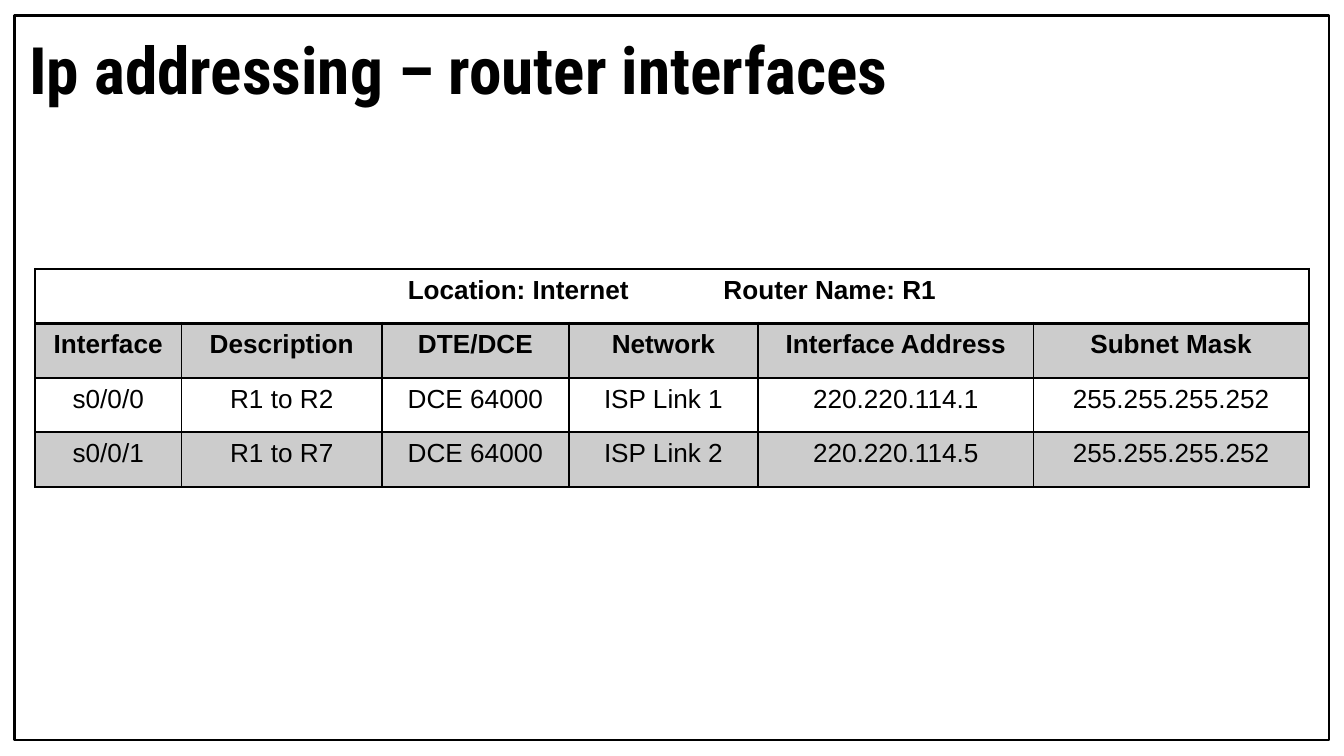
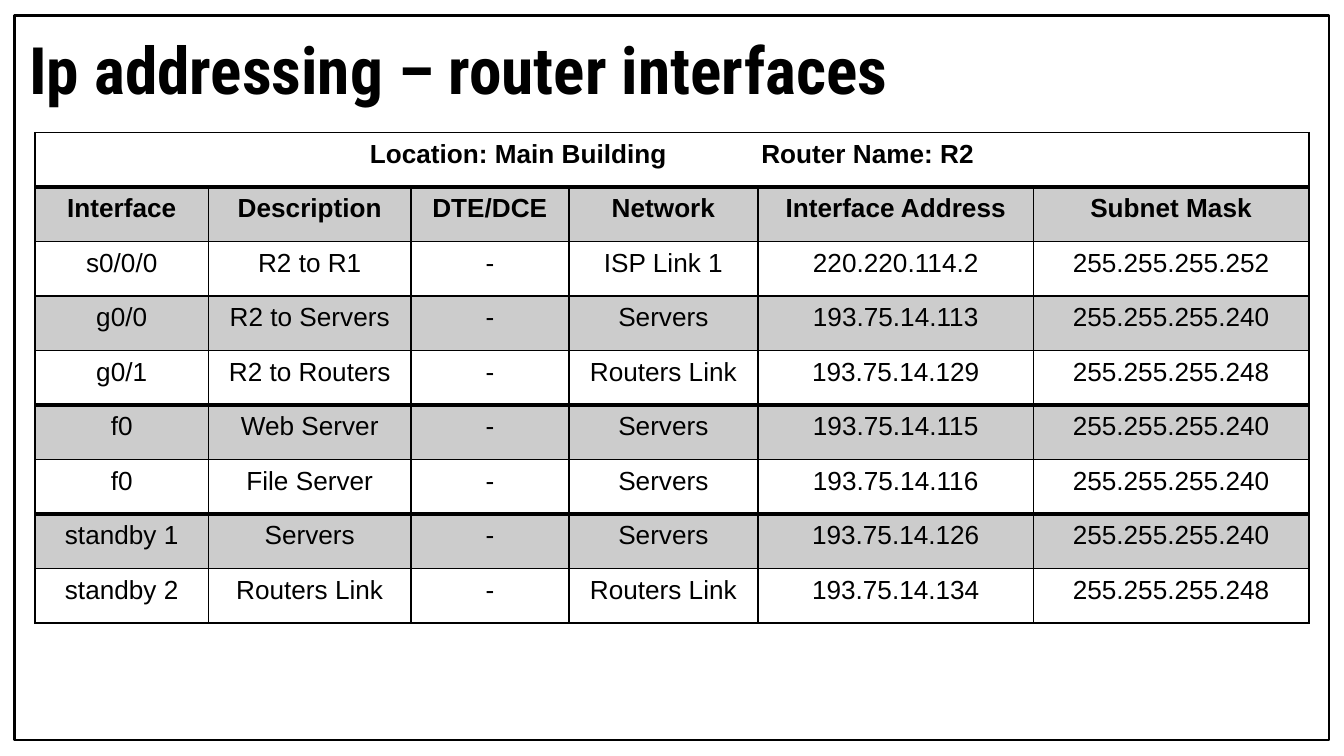
from dataclasses import dataclass

from lxml.etree import SubElement
from pptx import Presentation
from pptx.dml.color import RGBColor
from pptx.enum.shapes import MSO_SHAPE as Shape
from pptx.enum.text import MSO_ANCHOR as Anchor, MSO_AUTO_SIZE as AutoSize, PP_ALIGN as Align
from pptx.oxml import parse_xml
from pptx.oxml.ns import nsdecls, qn
from pptx.util import Pt


@dataclass(frozen=True)
class Theme:
    ink: RGBColor = RGBColor(0, 0, 0)
    band_alpha: int = 20
    title_font: str = "Roboto Condensed"
    title_size: int = 35
    table_font: str = "Arial"
    table_size: int = 14
    frame_line: float = 1.5
    cell_line: float = 1
    caption_line: float = 2
    heavy_line: float = 2.25
    caption_gap: float = 46.7


THEME = Theme()
TITLE = "Ip addressing – router interfaces"
HEADINGS = ["Interface", "Description", "DTE/DCE", "Network", "Interface Address", "Subnet Mask"]
TABLE_LEFT, ROW_HEIGHT = 18.75, 29.2

# heavy_rows are the rows ruled off from the next one by a heavy line
ROUTERS = [
    {
        "caption": ("Location: Internet", "Router Name: R1"),
        "top": 144,
        "widths": [78.5, 107.5, 100, 101.5, 147.5, 147.5],
        "heavy_rows": [],
        "interfaces": [
            ["s0/0/0", "R1 to R2", "DCE 64000", "ISP Link 1", "220.220.114.1", "255.255.255.252"],
            ["s0/0/1", "R1 to R7", "DCE 64000", "ISP Link 2", "220.220.114.5", "255.255.255.252"],
        ],
    },
    {
        "caption": ("Location: Main Building", "Router Name: R2"),
        "top": 71,
        "widths": [93, 108.5, 84.5, 101.5, 147.5, 147.5],
        "heavy_rows": [4, 6],
        "interfaces": [
            ["s0/0/0", "R2 to R1", "-", "ISP Link 1", "220.220.114.2", "255.255.255.252"],
            ["g0/0", "R2 to Servers", "-", "Servers", "193.75.14.113", "255.255.255.240"],
            ["g0/1", "R2 to Routers", "-", "Routers Link", "193.75.14.129", "255.255.255.248"],
            ["f0", "Web Server", "-", "Servers", "193.75.14.115", "255.255.255.240"],
            ["f0", "File Server", "-", "Servers", "193.75.14.116", "255.255.255.240"],
            ["standby 1", "Servers", "-", "Servers", "193.75.14.126", "255.255.255.240"],
            ["standby 2", "Routers Link", "-", "Routers Link", "193.75.14.134", "255.255.255.248"],
        ],
    },
]


def set_borders(cell, top, bottom):
    """Rule all four sides; only the top and bottom widths vary."""
    sides = {"lnL": THEME.cell_line, "lnR": THEME.cell_line, "lnT": top, "lnB": bottom}
    properties = cell._tc.get_or_add_tcPr()
    for position, (side, width) in enumerate(sides.items()):
        properties.insert(position, parse_xml(
            f'<a:{side} {nsdecls("a")} w="{Pt(width)}"><a:solidFill>'
            f'<a:srgbClr val="{THEME.ink}"/></a:solidFill></a:{side}>'))


def fill_cell(cell, shaded):
    if not shaded:
        cell.fill.background()
        return
    cell.fill.solid()
    cell.fill.fore_color.rgb = THEME.ink
    color = cell._tc.tcPr.find(qn("a:solidFill")).find(qn("a:srgbClr"))
    SubElement(color, qn("a:alpha"), val=str(THEME.band_alpha * 1000))


deck = Presentation()
deck.slide_width, deck.slide_height = Pt(720), Pt(405)
layout = deck.slide_layouts.get_by_name("Title Only")
pages = [deck.slides.add_slide(layout) for router in ROUTERS]

# The frame belongs to the layout, so every page shows it
frame = pages[0].shapes.add_shape(Shape.RECTANGLE, Pt(8), Pt(8.5), Pt(704), Pt(388))
frame.shadow.inherit = False
frame.fill.background()
frame.line.color.rgb = THEME.ink
frame.line.width = Pt(THEME.frame_line)
layout.shapes.element.insert(2, frame.element)

for page, router in zip(pages, ROUTERS):
    title = page.shapes.title
    title.left, title.top, title.width, title.height = Pt(8.5), Pt(8.5), Pt(703), Pt(50)
    box = title.text_frame
    box.text = TITLE
    box.auto_size = AutoSize.NONE
    box.vertical_anchor = Anchor.TOP
    box.margin_left = box.margin_right = box.margin_top = box.margin_bottom = Pt(7.2)
    para = box.paragraphs[0]
    para.alignment = Align.LEFT
    para.font.name = THEME.title_font
    para.font.size = Pt(THEME.title_size)
    para.font.bold = True
    para.font.color.rgb = THEME.ink

    rows = [[""] * len(HEADINGS), HEADINGS, *router["interfaces"]]
    table = page.shapes.add_table(
        len(rows), len(HEADINGS), Pt(TABLE_LEFT), Pt(router["top"]),
        Pt(sum(router["widths"])), Pt(ROW_HEIGHT * len(rows))).table
    table.first_row = table.horz_banding = False
    for column, width in zip(table.columns, router["widths"]):
        column.width = Pt(width)

    rules = {0: THEME.caption_line} | {row: THEME.heavy_line for row in router["heavy_rows"]}
    for row_number, texts in enumerate(rows):
        table.rows[row_number].height = Pt(ROW_HEIGHT)
        bottom = rules.get(row_number, THEME.cell_line)
        top = THEME.heavy_line if row_number - 1 in router["heavy_rows"] else THEME.cell_line
        for column_number, text in enumerate(texts):
            cell = table.cell(row_number, column_number)
            cell.text = text
            fill_cell(cell, shaded=row_number % 2 == 1)
            set_borders(cell, top, bottom)
            para = cell.text_frame.paragraphs[0]
            para.alignment = Align.CENTER
            para.font.name = THEME.table_font
            para.font.size = Pt(THEME.table_size)
            para.font.bold = row_number < 2
            para.font.color.rgb = THEME.ink

    # One widely tracked space separates the two halves of the caption
    caption = table.cell(0, 0)
    caption.merge(table.cell(0, len(HEADINGS) - 1))
    location, router_name = router["caption"]
    for text in (location, " ", router_name):
        span = caption.text_frame.paragraphs[0].add_run()
        span.text = text
        if text == " ":
            span.font._element.set("spc", str(round(THEME.caption_gap * 100)))

deck.save("out.pptx")
